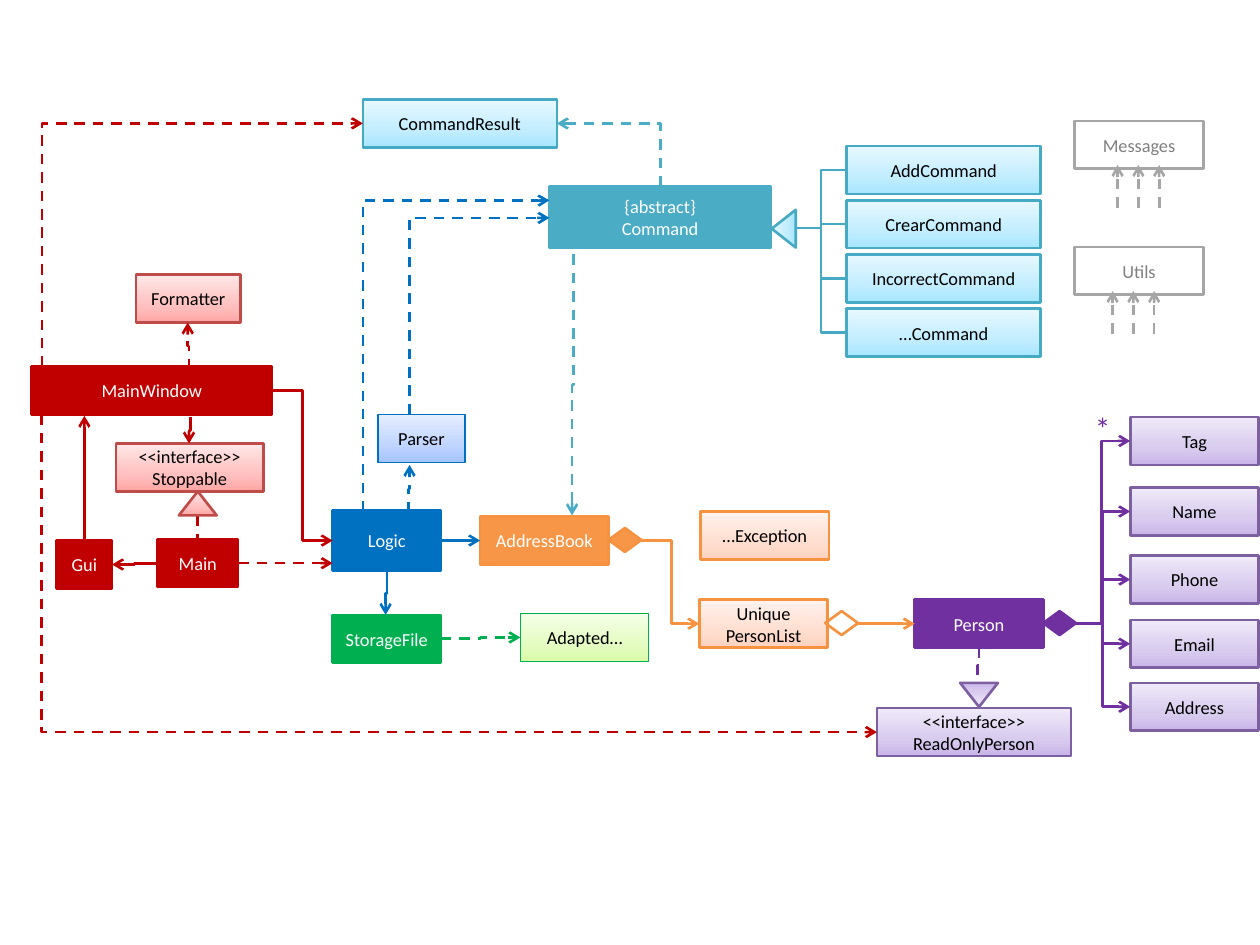
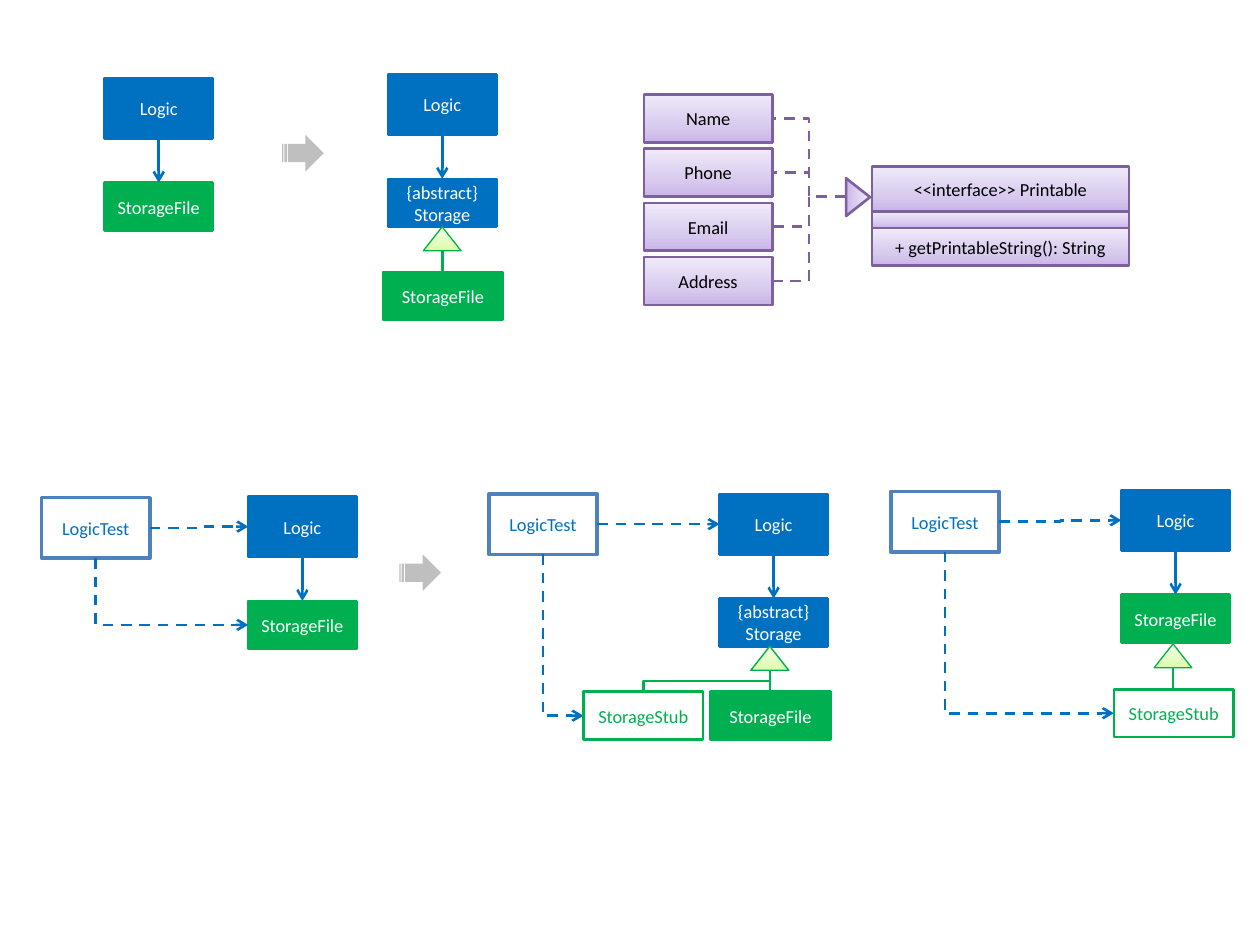
"""Build two slides of class diagrams for an address book application."""
from dataclasses import dataclass
from typing import NamedTuple, Optional, Union

from lxml.etree import SubElement
from pptx import Presentation
from pptx.dml.color import RGBColor
from pptx.enum.dml import MSO_LINE
from pptx.enum.shapes import MSO_CONNECTOR, MSO_SHAPE
from pptx.enum.text import MSO_ANCHOR, PP_ALIGN
from pptx.oxml.ns import qn
from pptx.util import Inches, Pt

WHITE = RGBColor(0xFF, 0xFF, 0xFF)
BLACK = RGBColor(0x00, 0x00, 0x00)
RED = RGBColor(0xC0, 0x00, 0x00)
ROSE = RGBColor(0xBF, 0x4C, 0x48)
ORANGE = RGBColor(0xF7, 0x96, 0x46)
DEEP_ORANGE = RGBColor(0xF6, 0x92, 0x40)
BLUE = RGBColor(0x00, 0x70, 0xC0)
STEEL = RGBColor(0x4F, 0x81, 0xBD)
TEAL = RGBColor(0x4B, 0xAC, 0xC6)
DEEP_TEAL = RGBColor(0x46, 0xAA, 0xC5)
GREEN = RGBColor(0x00, 0xB0, 0x50)
PURPLE = RGBColor(0x70, 0x30, 0xA0)
LILAC = RGBColor(0x7D, 0x60, 0xA0)
GREY = RGBColor(0xA6, 0xA6, 0xA6)
DARK_GREY = RGBColor(0x80, 0x80, 0x80)
LIGHT_GREY = RGBColor(0xBF, 0xBF, 0xBF)

FONT = "Calibri"
BOX_H = 0.38
LOGIC_W, LOGIC_H = 0.86, 0.48
ENTITY_W = 1.02
COMMAND_W = 1.54
STUB_W = 0.95
LIST_STEP = 0.43
TRIANGLE_W, TRIANGLE_H = 0.3, 0.19
DIAMOND_W, DIAMOND_H = 0.26, 0.19


class Gradient(NamedTuple):
    """Colours of a fill that runs from the bottom to the top."""
    bottom: str
    middle: str
    top: str


class Style(NamedTuple):
    """Fill, outline and text colour of a diagram element."""
    fill: Union[RGBColor, Gradient, None]
    line: Optional[RGBColor]
    text: RGBColor = WHITE
    width: float = 1.5


UI = Style(RED, RED)
UI_SOFT = Style(Gradient("FFA6A5", "FFC0BF", "FFE7E7"), ROSE, BLACK)
LOGIC = Style(BLUE, BLUE)
PARSER = Style(Gradient("A4C4FF", "BFD4FF", "E6EEFF"), BLUE, BLACK, 0.75)
TEST = Style(WHITE, STEEL, BLUE, 2)
COMMAND = Style(TEAL, TEAL)
COMMAND_SOFT = Style(Gradient("A7E6FF", "C1EDFF", "E7F8FF"), DEEP_TEAL, BLACK)
BOOK = Style(ORANGE, DEEP_ORANGE)
BOOK_SOFT = Style(Gradient("FFD2BD", "FFDED0", "FFF2ED"), DEEP_ORANGE, BLACK)
BOOK_OPEN = Style(None, DEEP_ORANGE)
STORAGE = Style(GREEN, GREEN)
STORAGE_SOFT = Style(Gradient("DAFDA7", "E4FCC2", "F5FFE7"), GREEN, BLACK, 0.75)
STUB = Style(None, GREEN, GREEN)
PERSON = Style(PURPLE, PURPLE)
PERSON_SOFT = Style(Gradient("C9B5E8", "D8CBEE", "F0EAF9"), LILAC, BLACK)
HELPER = Style(WHITE, GREY, DARK_GREY)
STEP = Style(LIGHT_GREY, None)


@dataclass
class Box:
    """A class box with its name."""
    text: str
    x: float
    y: float
    w: float
    style: Style
    h: float = BOX_H


@dataclass
class Link:
    """A relation; route names its legs, as "hvh", "vhv", "vh" or "straight"."""
    x1: float
    y1: float
    x2: float
    y2: float
    color: RGBColor
    route: str = "straight"
    dash: bool = False
    arrow: bool = True
    bend: float = 0.5


def write(shape, text: str, *, size: float = 10.5, color: RGBColor = BLACK,
          align=PP_ALIGN.CENTER, anchor=MSO_ANCHOR.MIDDLE, margin: float = 0.05) -> None:
    """Put formatted text in a shape."""
    frame = shape.text_frame
    frame.word_wrap = True
    frame.vertical_anchor = anchor
    frame.margin_left = frame.margin_right = Inches(margin)
    frame.text = text
    for paragraph in frame.paragraphs:
        paragraph.alignment = align
        for run in paragraph.runs:
            run.font.size = Pt(size)
            run.font.name = FONT
            run.font.color.rgb = color
    for line_break in shape.element.iter(qn("a:br")):
        SubElement(line_break, qn("a:rPr"), sz=str(int(size * 100)))


def paint(shape, style: Style) -> None:
    """Apply fill and outline to a shape."""
    shape.shadow.inherit = False
    if isinstance(style.fill, Gradient):
        shape.fill.gradient()
        shape.fill.gradient_angle = 90
        stops = shape.element.spPr.find(".//" + qn("a:gsLst"))
        stops.clear()
        for position, color in zip((0, 35, 100), style.fill):
            stop = SubElement(stops, qn("a:gs"), pos=str(position * 1000))
            SubElement(stop, qn("a:srgbClr"), val=color)
    elif style.fill is None:
        shape.fill.background()
    else:
        shape.fill.solid()
        shape.fill.fore_color.rgb = style.fill
    if style.line is None:
        shape.line.fill.background()
    else:
        shape.line.color.rgb = style.line
        shape.line.width = Pt(style.width)


def draw_mark(slide, kind, x: float, y: float, w: float, h: float, style: Style,
              rotation: float = 0):
    """Draw one preset shape."""
    mark = slide.shapes.add_shape(kind, Inches(x), Inches(y), Inches(w), Inches(h))
    mark.rotation = rotation
    paint(mark, style)
    return mark


def draw_box(slide, box: Box) -> None:
    """Draw a class box."""
    mark = draw_mark(slide, MSO_SHAPE.RECTANGLE, box.x, box.y, box.w, box.h, box.style)
    if box.text:
        write(mark, box.text, color=box.style.text)


def draw_triangle(slide, x: float, y: float, style: Style, rotation: float = 0) -> None:
    """Draw an inheritance triangle."""
    draw_mark(slide, MSO_SHAPE.ISOSCELES_TRIANGLE, x, y, TRIANGLE_W, TRIANGLE_H, style, rotation)


def draw_diamond(slide, x: float, y: float, style: Style) -> None:
    """Draw an aggregation diamond."""
    draw_mark(slide, MSO_SHAPE.FLOWCHART_DECISION, x, y, DIAMOND_W, DIAMOND_H, style)


def draw_link(slide, link: Link) -> None:
    """Draw a straight or bent relation line."""
    x1, y1, x2, y2 = link.x1, link.y1, link.x2, link.y2
    upright = link.route.startswith("v")
    if upright:
        middle_x, middle_y = (x1 + x2) / 2, (y1 + y2) / 2
        half_w, half_h = abs(y2 - y1) / 2, abs(x2 - x1) / 2
        ends = (middle_x - half_w, middle_y - half_h, middle_x + half_w, middle_y + half_h)
    else:
        ends = (x1, y1, x2, y2)
    kind = MSO_CONNECTOR.STRAIGHT if link.route == "straight" else MSO_CONNECTOR.ELBOW
    connector = slide.shapes.add_connector(kind, *map(Inches, ends))
    connector.line.color.rgb = link.color
    connector.line.width = Pt(1.5)
    if link.dash:
        connector.line.dash_style = MSO_LINE.DASH
    properties = connector.element.spPr
    if upright:
        frame = properties.find(qn("a:xfrm"))
        frame.set("rot", str(90 * 60000))
        frame.set("flipH", str(int(y2 < y1)))
        frame.set("flipV", str(int(x2 > x1)))
    geometry = properties.find(qn("a:prstGeom"))
    if link.route == "vh":
        geometry.set("prst", "bentConnector2")
    elif link.bend != 0.5:
        SubElement(geometry.find(qn("a:avLst")), qn("a:gd"), name="adj1",
                   fmla=f"val {round(link.bend * 100000)}")
    if link.arrow:
        SubElement(properties.find(qn("a:ln")), qn("a:tailEnd"), type="arrow")
    SubElement(properties, qn("a:effectLst"))


def build_architecture(slide) -> None:
    """Draw the class diagram of the whole application."""
    commands = ("AddCommand", "CrearCommand", "IncorrectCommand", "…Command")
    details = {"Tag": 3.31, "Name": 3.87, "Phone": 4.41, "Email": 4.92, "Address": 5.42}
    helpers = (("Messages", 0.96, 8.87), ("Utils", 1.96, 8.83))
    boxes = [
        Box("Gui", 0.45, 4.29, 0.44, UI),
        Box("Main", 1.25, 4.28, 0.64, UI),
        Box("MainWindow", 0.25, 2.91, 1.91, UI),
        Box("Formatter", 1.08, 2.18, 0.83, UI_SOFT),
        Box("<<interface>>\nStoppable", 0.92, 3.52, 1.17, UI_SOFT),
        Box("Logic", 2.64, 4.05, LOGIC_W, LOGIC, LOGIC_H),
        Box("Parser", 3, 3.29, 0.69, PARSER),
        Box("StorageFile", 2.64, 4.88, LOGIC_W, STORAGE),
        Box("Adapted…", 4.13, 4.87, ENTITY_W, STORAGE_SOFT),
        Box("AddressBook", 3.81, 4.1, ENTITY_W, BOOK),
        Box("…Exception", 5.56, 4.06, ENTITY_W, BOOK_SOFT),
        Box("Unique\vPersonList", 5.55, 4.76, ENTITY_W, BOOK_SOFT),
        Box("Person", 7.26, 4.76, ENTITY_W, PERSON),
        Box("<<interface>>\nReadOnlyPerson", 6.96, 5.62, COMMAND_W, PERSON_SOFT),
        Box("{abstract}\vCommand", 4.36, 1.48, 1.76, COMMAND, 0.49),
        Box("CommandResult", 2.88, 0.79, COMMAND_W, COMMAND_SOFT),
    ]
    links = [
        Link(1.25, 4.47, 0.89, 4.48, RED, "hvh"),
        Link(0.67, 4.29, 0.67, 3.3, RED),
        Link(1.5, 2.93, 1.49, 2.56, RED, "vhv", dash=True),
        Link(1.51, 3.31, 1.5, 3.52, RED, "vhv"),
        Link(1.57, 4.09, 1.57, 4.28, RED, dash=True, arrow=False),
        Link(2.16, 3.1, 2.64, 4.29, RED, "hvh"),
        Link(1.89, 4.47, 2.64, 4.47, RED, dash=True),
        Link(0.33, 3.29, 6.96, 5.81, RED, "hvh", dash=True, bend=0),
        Link(0.33, 2.91, 2.88, 0.98, RED, "hvh", dash=True, bend=0.001),
        Link(3.24, 4.07, 3.25, 3.69, BLUE, "vhv", dash=True),
        Link(3.07, 4.54, 3.06, 4.88, BLUE, "vhv"),
        Link(3.25, 3.29, 4.36, 1.73, BLUE, "vh", dash=True),
        Link(2.88, 4.06, 4.36, 1.59, BLUE, "vhv", dash=True, bend=0.999),
        Link(3.5, 4.29, 3.81, 4.29, BLUE),
        Link(3.5, 5.07, 4.13, 5.06, GREEN, "hvh", dash=True),
        Link(4.55, 2.02, 4.54, 4.09, TEAL, "vhv", dash=True),
        Link(5.24, 1.48, 4.42, 0.98, TEAL, "vh", dash=True),
        Link(5.08, 4.29, 5.55, 4.95, DEEP_ORANGE, "hvh", bend=0.53),
        Link(6.81, 4.95, 7.26, 4.95, DEEP_ORANGE),
        Link(7.77, 5.14, 7.76, 5.42, PURPLE, "vhv", dash=True, arrow=False),
        Link(8.74, 4.95, 8.97, 3.5, PURPLE, "vh"),
    ]
    for row, name in enumerate(commands):
        y = 1.16 + LIST_STEP * row
        boxes.append(Box(name, 6.72, y, COMMAND_W, COMMAND_SOFT))
        links.append(Link(6.31, 1.81, 6.72, y + BOX_H / 2, DEEP_TEAL, "hvh", arrow=False))
    for name, y in details.items():
        boxes.append(Box(name, 8.97, y, ENTITY_W, PERSON_SOFT))
        if name != "Tag":
            links.append(Link(8.53, 4.95, 8.97, y + BOX_H / 2, PURPLE, "hvh"))
    for name, y, first_x in helpers:
        boxes.append(Box(name, 8.53, y, ENTITY_W, HELPER))
        for column in range(3):
            x = first_x + 0.165 * column
            links.append(Link(x, y + 0.69, x, y + 0.35, GREY, dash=True))
    for box in boxes:
        draw_box(slide, box)
    for link in links:
        draw_link(slide, link)
    draw_triangle(slide, 1.42, 3.9, UI_SOFT)
    draw_triangle(slide, 6.07, 1.72, COMMAND_SOFT, 270)
    draw_triangle(slide, 7.62, 5.42, PERSON_SOFT, 180)
    draw_diamond(slide, 4.83, 4.19, BOOK)
    draw_diamond(slide, 6.55, 4.85, BOOK_OPEN)
    draw_diamond(slide, 8.28, 4.85, PERSON)
    many = slide.shapes.add_textbox(Inches(8.69), Inches(3.2), Inches(0.1), Inches(0.4))
    write(many, "*", size=18, color=PURPLE, align=PP_ALIGN.LEFT, anchor=MSO_ANCHOR.TOP, margin=0)


def draw_logic(slide, x: float, y: float, used: str, style: Style) -> None:
    """Draw Logic above the class that it uses."""
    center = x + LOGIC_W / 2
    draw_box(slide, Box("Logic", x, y, LOGIC_W, LOGIC, LOGIC_H))
    draw_box(slide, Box(used, x, y + 0.83, LOGIC_W, style))
    draw_link(slide, Link(center, y + LOGIC_H, center, y + 0.83, BLUE))


def draw_test(slide, x: float, y: float, logic: tuple, storage: tuple) -> None:
    """Draw LogicTest and its links to Logic and to a storage class."""
    draw_box(slide, Box("LogicTest", x, y, LOGIC_W, TEST, LOGIC_H))
    draw_link(slide, Link(x + LOGIC_W, y + LOGIC_H / 2, logic[0], logic[1] + LOGIC_H / 2,
                          BLUE, "hvh", dash=True))
    draw_link(slide, Link(x + LOGIC_W / 2, y + LOGIC_H, storage[0], storage[1] + BOX_H / 2,
                          BLUE, "vh", dash=True))


def draw_heir(slide, text: str, x: float, y: float, style: Style, parent_x: float) -> None:
    """Draw a storage class and its inheritance line."""
    draw_box(slide, Box(text, x, y, STUB_W, style))
    center = x + STUB_W / 2
    route = "vhv" if abs(center - parent_x) > 0.1 else "straight"
    draw_link(slide, Link(parent_x, y - 0.17, center if route == "vhv" else parent_x, y,
                          GREEN, route, arrow=False))
    draw_triangle(slide, parent_x - TRIANGLE_W / 2, y - 0.36, STORAGE_SOFT)


def build_refactorings(slide) -> None:
    """Draw the storage, printable and test variants."""
    abstract = "{abstract}\vStorage"
    for x, y, used, style in (
            (0.83, 0.62, "StorageFile", STORAGE), (3.08, 0.59, abstract, LOGIC),
            (1.97, 3.94, "StorageFile", STORAGE), (5.71, 3.92, abstract, LOGIC),
            (8.9, 3.89, "StorageFile", STORAGE)):
        draw_logic(slide, x, y, used, style)
    draw_test(slide, 0.33, 3.95, (1.97, 3.94), (1.97, 4.77))
    draw_test(slide, 3.88, 3.92, (5.71, 3.92), (4.63, 5.49))
    draw_test(slide, 7.07, 3.9, (8.9, 3.89), (8.84, 5.47))
    draw_heir(slide, "StorageFile", 3.04, 2.16, STORAGE, 3.51)
    draw_heir(slide, "StorageStub", 4.63, 5.49, STUB, 6.11)
    draw_heir(slide, "StorageFile", 5.64, 5.49, STORAGE, 6.11)
    draw_heir(slide, "StorageStub", 8.84, 5.47, STUB, 9.31)
    for x, y in ((2.24, 1.07), (3.17, 4.4)):
        draw_mark(slide, MSO_SHAPE.STRIPED_RIGHT_ARROW, x, y, 0.33, 0.29, STEP)
    for row, name in enumerate(("Name", "Phone", "Email", "Address")):
        y = 0.75 + LIST_STEP * row
        draw_box(slide, Box(name, 5.11, y, ENTITY_W, PERSON_SOFT))
        draw_link(slide, Link(6.71, 1.56, 6.13, y + BOX_H / 2, LILAC, "hvh",
                              dash=True, arrow=False))
    draw_triangle(slide, 6.66, 1.47, PERSON_SOFT, 90)
    for text, y, h in (("<<interface>> Printable", 1.32, 0.36), ("", 1.68, 0.13),
                       ("+ getPrintableString(): String", 1.81, 0.3)):
        draw_box(slide, Box(text, 6.92, y, 2.04, PERSON_SOFT, h))


def main() -> None:
    """Build and save the presentation."""
    deck = Presentation()
    deck.slide_width, deck.slide_height = Inches(10), Inches(7.5)
    for build in (build_architecture, build_refactorings):
        build(deck.slides.add_slide(deck.slide_layouts[6]))
    deck.save("out.pptx")


if __name__ == "__main__":
    main()
